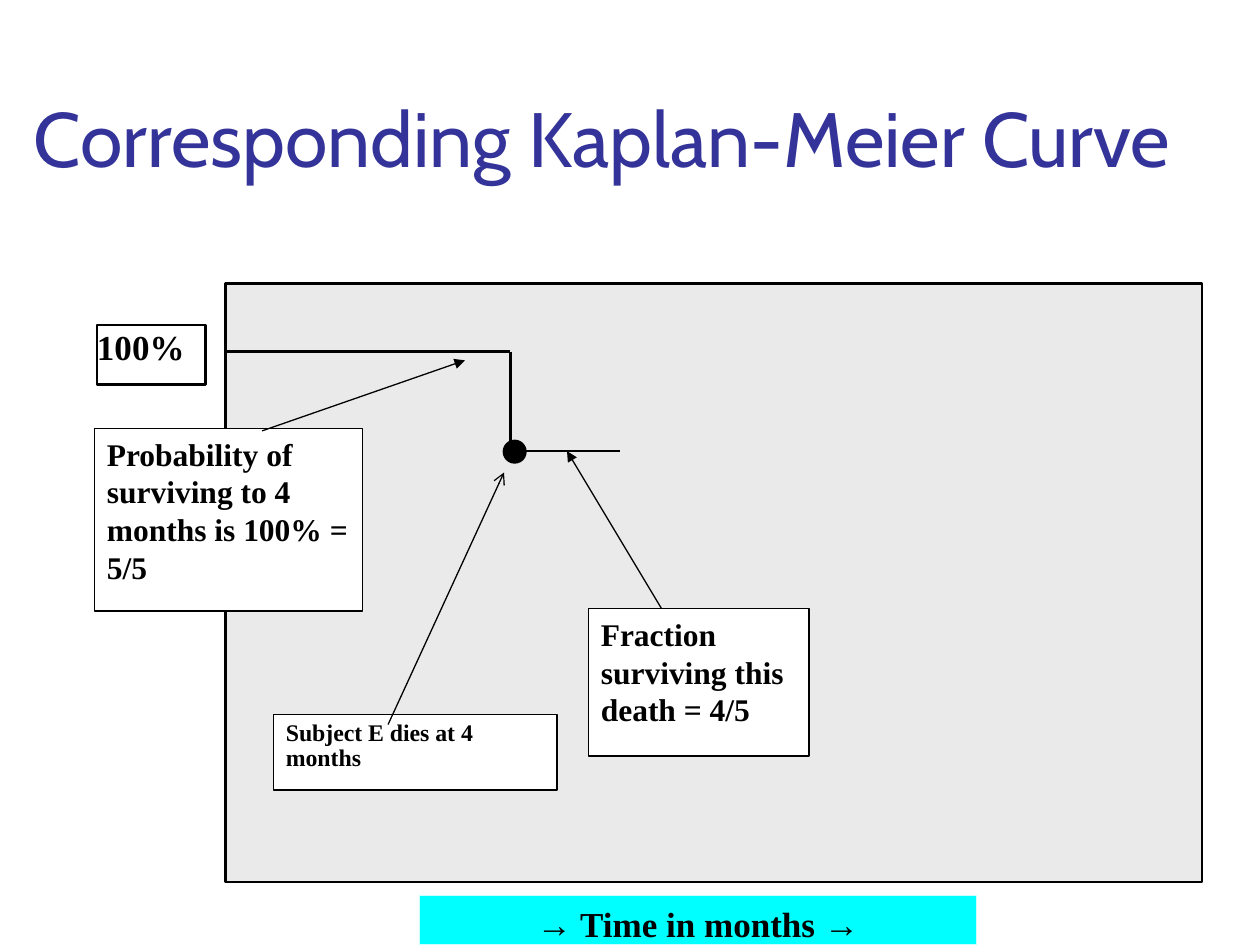
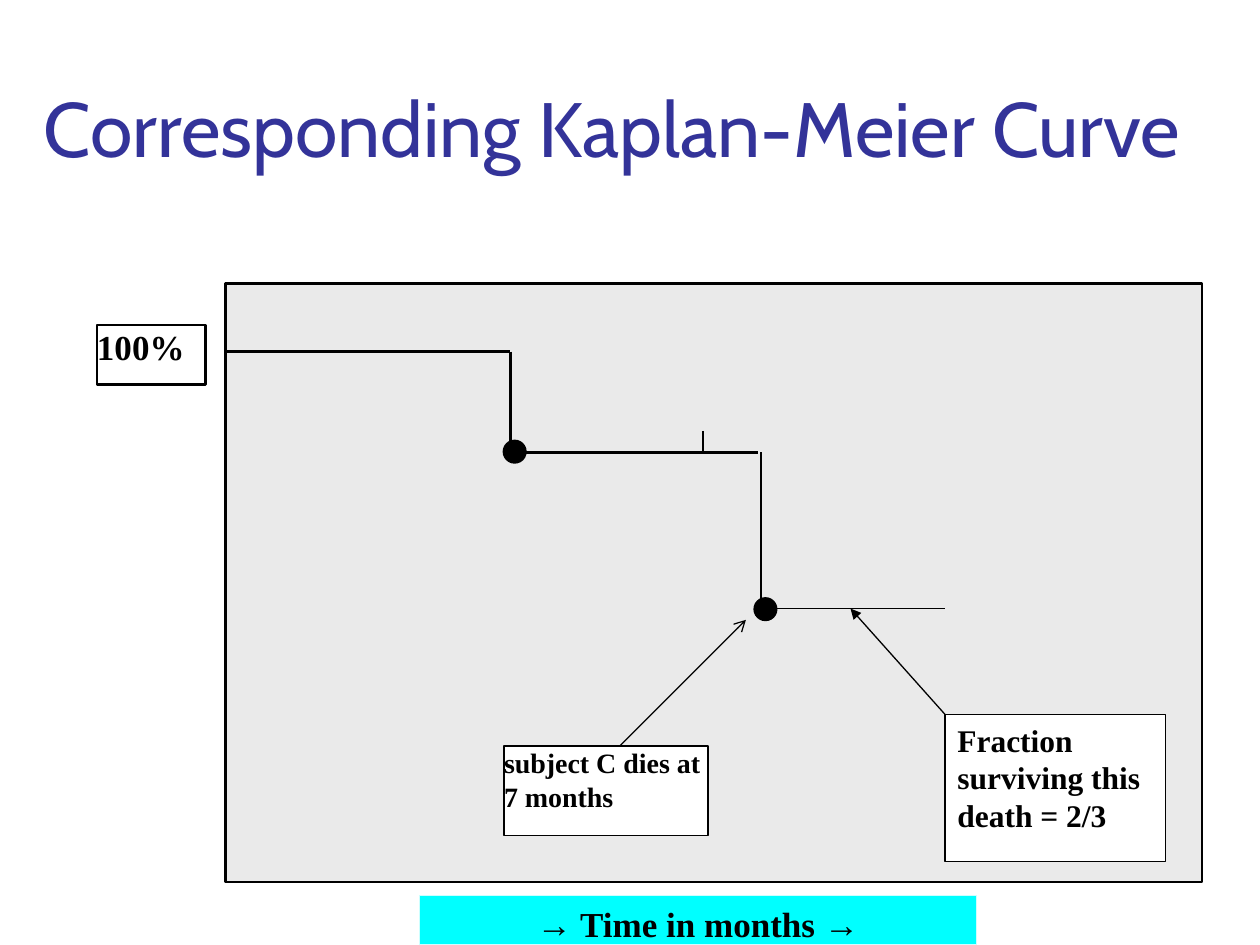
from dataclasses import dataclass

from lxml.etree import SubElement as Sub
from pptx import Presentation
from pptx.dml.color import RGBColor as RGB
from pptx.enum.shapes import MSO_CONNECTOR as Link, MSO_SHAPE as Form
from pptx.enum.text import MSO_ANCHOR as Anchor, PP_ALIGN as Align
from pptx.oxml.ns import qn
from pptx.util import Pt

PX = 9144  # 100 px to the inch


@dataclass(frozen=True)
class Theme:
    ink: str = "000000"
    paper: str = "FFFFFF"
    plot: str = "EAEAEA"
    band: str = "00FFFF"
    rim: str = "CCFFFF"
    head: str = "333399"
    title: str = "Cabin"
    body: str = "Times New Roman"
    sign: str = "Arial"
    huge: float = 44
    big: float = 20
    mid: float = 18
    small: float = 16
    tiny: float = 13.6
    thin: float = 0.75
    bold: float = 1.5


class Deck:
    def __init__(self, theme):
        self.theme = theme
        self.prs = Presentation()
        self.prs.slide_width, self.prs.slide_height = 1000 * PX, 750 * PX
        self.slide = None

    def page(self):
        self.slide = self.prs.slides.add_slide(self.prs.slide_layouts[6])

    def label(self, shape, runs, size, color, bold=True, pad=(10, 5, 10, 5),
              align=Align.LEFT, anchor=Anchor.TOP, lead=None):
        """Fill a shape with one paragraph of (text, font) runs."""
        frame = shape.text_frame
        frame.word_wrap = True
        frame.vertical_anchor = anchor
        (frame.margin_left, frame.margin_top,
         frame.margin_right, frame.margin_bottom) = [n * PX for n in pad]
        para = frame.paragraphs[0]
        para.alignment = align
        if lead:
            para.line_spacing = lead
        for text, face in runs:
            run = para.add_run()
            run.text = text
            font = run.font
            font.name, font.size, font.bold = face, Pt(size), bold
            font.color.rgb = RGB.from_string(color)

    def title(self, text, x, y, w):
        box = self.slide.shapes.add_textbox(x * PX, y * PX, w * PX, 125 * PX)
        look = self.theme
        self.label(box, [(text, look.title)], look.huge, look.head,
                   bold=False, anchor=Anchor.BOTTOM)

    def shape(self, form, x, y, w, h, fill, line, width):
        item = self.slide.shapes.add_shape(form, x * PX, y * PX, w * PX, h * PX)
        item.shadow.inherit = False
        item.fill.solid()
        item.fill.fore_color.rgb = RGB.from_string(fill)
        item.line.color.rgb = RGB.from_string(line)
        item.line.width = Pt(width)
        return item

    def note(self, text, x, y, w, h, size, width=Theme.thin, **style):
        look = self.theme
        box = self.shape(Form.RECTANGLE, x, y, w, h, look.paper, look.ink, width)
        self.label(box, [(text, look.body)], size, look.ink, **style)

    def line(self, start, end, width=Theme.thin, tip=None):
        ends = [n * PX for n in (*start, *end)]
        item = self.slide.shapes.add_connector(Link.STRAIGHT, *ends)
        item.line.color.rgb = RGB.from_string(self.theme.ink)
        item.line.width = Pt(width)
        if tip:
            Sub(item.line._get_or_add_ln(), qn("a:tailEnd"), type=tip)
        Sub(item._element.spPr, qn("a:effectLst"))

    def death(self, x, top, y):
        """Drop the curve to y and mark the death with a dot."""
        look = self.theme
        self.line((x, top), (x, y), look.bold)
        self.shape(Form.OVAL, x - 5, y, 17, 17, look.ink, look.ink, look.bold)

    def chart(self):
        """Draw the plot area, its labels and the curve to the first death."""
        look = self.theme
        self.shape(Form.RECTANGLE, 179, 225, 775, 475,
                   look.plot, look.ink, look.bold)
        self.note("100%", 77, 258, 86, 47, look.big, look.bold, pad=(0,) * 4)
        band = self.shape(Form.RECTANGLE, 333, 711, 442, 39,
                          look.band, look.rim, look.thin)
        axis = [("→", look.sign), (" Time in months ", look.body),
                ("→", look.sign)]
        self.label(band, axis, look.big, look.ink, pad=(10, 5, 10, 0),
                   align=Align.CENTER)
        self.line((179, 279), (405, 279), look.bold)
        self.death(405, 279, 350)

    def share(self, value, x, y):
        text = f"Fraction surviving this death = {value}"
        self.note(text, x, y, 175, 117, self.theme.mid)


def main():
    look = Theme()
    deck = Deck(look)
    name = "Corresponding Kaplan-Meier Curve"

    deck.page()
    deck.chart()
    deck.title(name, 17, 25, 961)
    deck.note("Probability of surviving to 4 months is 100% = 5/5",
              75, 340, 213, 145, look.mid)
    deck.line((208, 342), (369, 286), tip="triangle")
    deck.share("4/5", 467, 483)
    deck.line((525, 483), (450, 358), tip="triangle")
    deck.line((408, 358), (492, 358))
    deck.note("Subject E dies at 4 months", 217, 567, 225, 60, look.tiny,
              lead=0.9)
    deck.line((308, 575), (400, 375), tip="arrow")

    deck.page()
    deck.chart()
    deck.title(name, 25, 17, 967)
    deck.death(604, 359, 475)
    deck.note("subject C dies at 7 months", 400, 592, 162, 71, look.small,
              pad=(0,) * 4)
    deck.line((492, 592), (592, 492), tip="arrow")
    deck.line((617, 483), (750, 483))
    deck.share("2/3", 750, 567)
    deck.line((750, 567), (675, 483), tip="triangle")
    deck.line((407, 359), (602, 359), look.bold)
    deck.line((558, 342), (558, 358))

    deck.prs.save("out.pptx")


if __name__ == "__main__":
    main()
